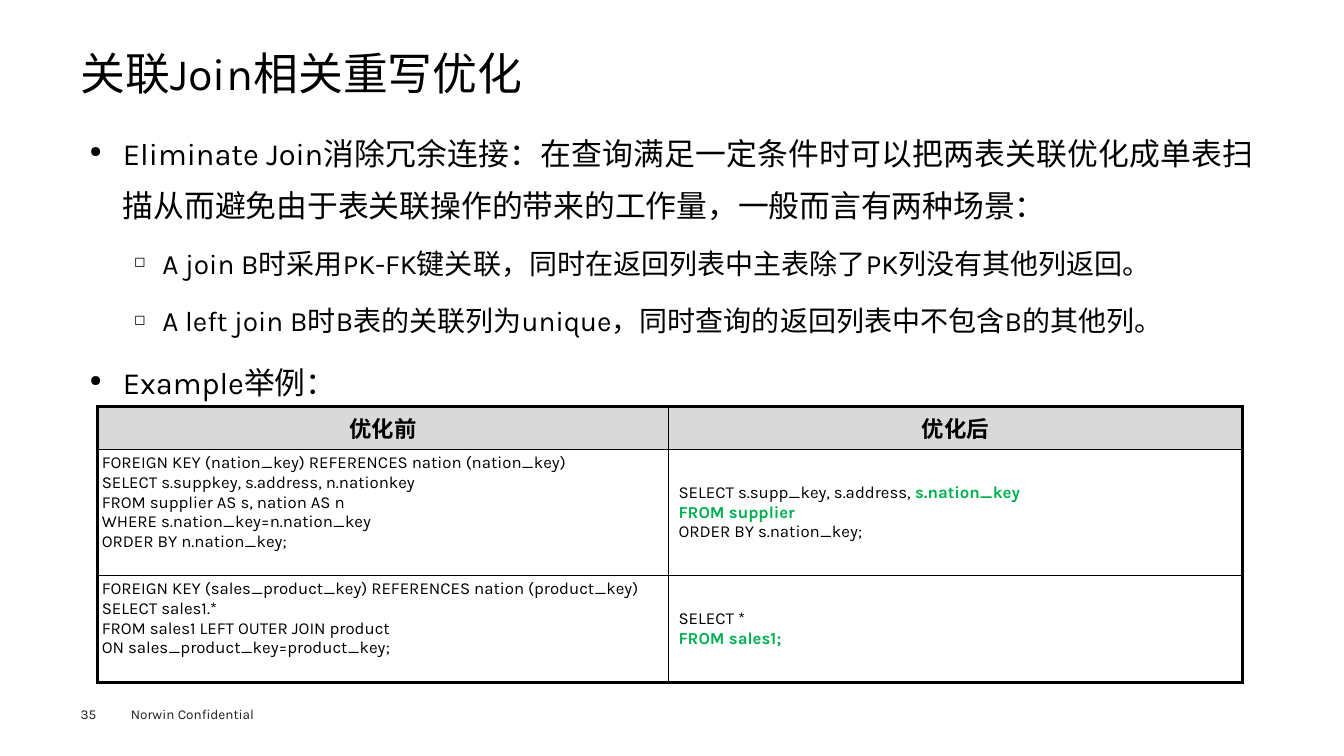
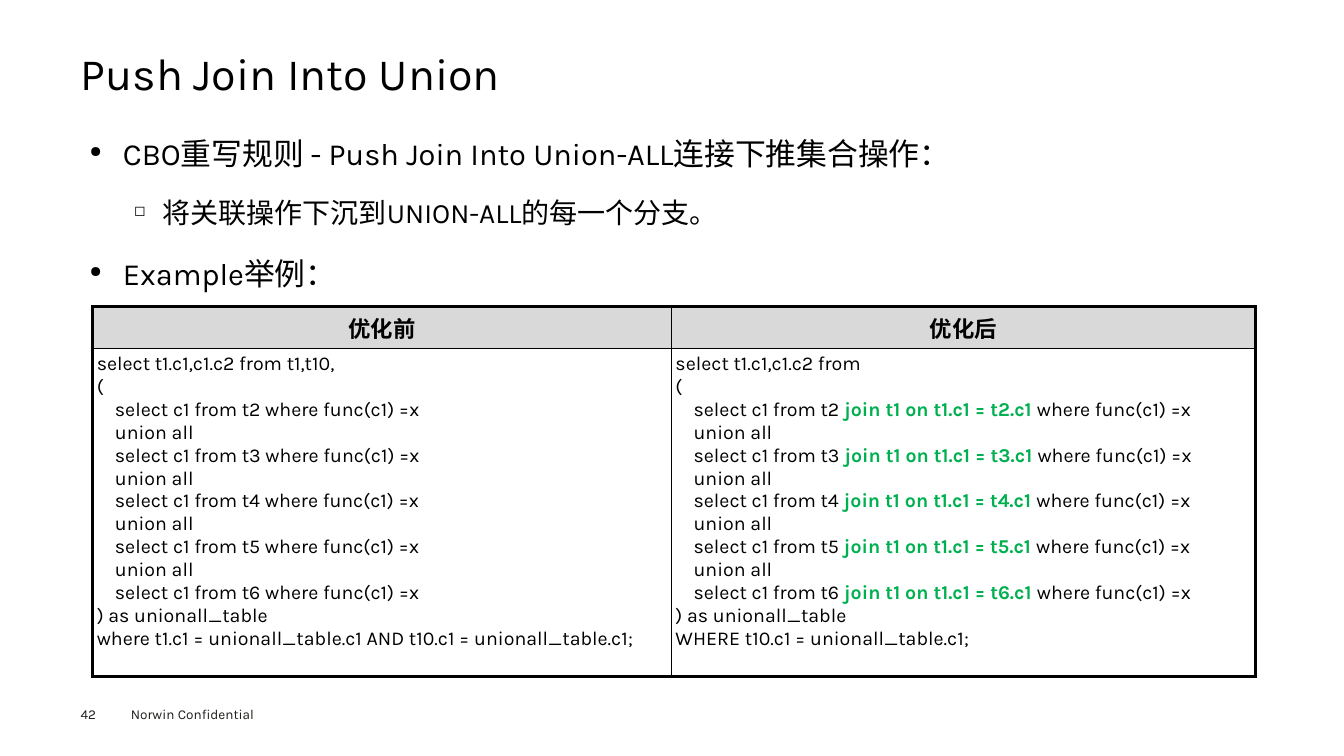
import pptx
import pptx.dml.color
import pptx.enum.text
import pptx.oxml
import pptx.oxml.ns
import pptx.util
from pptx.util import Inches, Pt

PP_ALIGN = pptx.enum.text.PP_ALIGN
ANCHOR = pptx.enum.text.MSO_ANCHOR
FONT = "Karla"
COLORS = {"text": "000000", "footer": "1D1D1B", "header": "D9D9D9",
          "cell": "FFFFFF", "accent": "00B050"}
FOOTER = "Norwin Confidential"
HEADINGS = ("优化前", "优化后")
LEVELS = [
    {"size": 22, "left": 0.33, "hang": 0.33, "before": 7.9, "bullet": "●", "align": PP_ALIGN.JUSTIFY},
    {"size": 20, "left": 0.72, "hang": 0.28, "before": 7.2, "bullet": "◻", "align": PP_ALIGN.LEFT},
]
CODE_INDENT = 0.18
TIGHT = (0.04, 0.04, ANCHOR.TOP)
MIDDLE = (0.1, 0.05, ANCHOR.MIDDLE)


def code(*lines):
    return [(0, [(line, False)]) for line in lines]


def union_branches(joined):
    lines = []
    for n in range(2, 7):
        parts = [(f"select c1 from t{n} ", False)]
        if joined:
            parts.append((f"join t1 on t1.c1 = t{n}.c1 ", True))
        parts.append(("where func(c1) =x", False))
        lines.append((1, parts))
        if n < 6:
            lines.append((1, [("union all", False)]))
    return lines


SLIDES = [
    {
        "number": "35",
        "title": "关联Join相关重写优化",
        "body": [
            (0, "Eliminate Join消除冗余连接：在查询满足一定条件时可以把两表关联优化成单表扫描从而避免由于表关联操作的带来的工作量，一般而言有两种场景："),
            (1, "A join B时采用PK-FK键关联，同时在返回列表中主表除了PK列没有其他列返回。"),
            (1, "A left join B时B表的关联列为unique，同时查询的返回列表中不包含B的其他列。"),
            (0, "Example举例："),
        ],
        "at": (0.97, 4.03), "cols": (5.66, 5.69), "rows": (0.43, 1.25, 1.06),
        "size": 12, "styles": (TIGHT, MIDDLE),
        "code": [
            (
                code("FOREIGN KEY (nation_key) REFERENCES nation (nation_key)",
                     "SELECT s.suppkey, s.address, n.nationkey",
                     "FROM supplier AS s, nation AS n",
                     "WHERE s.nation_key=n.nation_key",
                     "ORDER BY n.nation_key;"),
                [(0, [("SELECT s.supp_key, s.address, ", False), ("s.nation_key", True)]),
                 (0, [("FROM supplier", True)]),
                 (0, [("ORDER BY s.nation_key;", False)])],
            ),
            (
                code("FOREIGN KEY (sales_product_key) REFERENCES nation (product_key)",
                     "SELECT sales1.*",
                     "FROM sales1 LEFT OUTER JOIN product",
                     "ON sales_product_key=product_key;"),
                [(0, [("SELECT *", False)]), (0, [("FROM sales1;", True)])],
            ),
        ],
    },
    {
        "number": "42",
        "title": "Push Join Into Union",
        "body": [
            (0, "CBO重写规则 - Push Join Into Union-ALL连接下推集合操作："),
            (1, "将关联操作下沉到UNION-ALL的每一个分支。"),
            (0, "Example举例："),
        ],
        "at": (0.92, 3.04), "cols": (5.74, 5.79), "rows": (0.42, 3.25),
        "size": 14, "styles": (TIGHT, TIGHT),
        "code": [
            (
                code("select t1.c1,c1.c2 from t1,t10,", "(")
                + union_branches(False)
                + code(") as unionall_table",
                       "where t1.c1 = unionall_table.c1 AND t10.c1 = unionall_table.c1;"),
                code("select t1.c1,c1.c2 from", "(")
                + union_branches(True)
                + code(") as unionall_table", "WHERE t10.c1 = unionall_table.c1;"),
            ),
        ],
    },
]


def rgb(name):
    return pptx.dml.color.RGBColor.from_string(COLORS[name])


def add_xml(parent, xml):
    ns = pptx.oxml.ns.nsdecls("a")
    parent.append(pptx.oxml.parse_xml(xml.replace("/>", f" {ns}/>", 1)
                                      if xml.count("<") == 1
                                      else xml.replace(">", f" {ns}>", 1)))


def add_run(p, text, size, color="text", bold=False):
    r = p.add_run()
    r.text = text
    r.font.name = FONT
    r.font.size = Pt(size)
    r.font.bold = bold
    r.font.color.rgb = rgb(color)


def set_frame(tf, dx, dy, anchor=ANCHOR.TOP):
    tf.word_wrap = True
    tf.auto_size = pptx.enum.text.MSO_AUTO_SIZE.NONE
    tf.margin_left = tf.margin_right = Inches(dx)
    tf.margin_top = tf.margin_bottom = Inches(dy)
    tf.vertical_anchor = anchor


def add_box(s, box, dx, dy):
    tf = s.shapes.add_textbox(*map(Inches, box)).text_frame
    set_frame(tf, dx, dy)
    return tf


def next_paragraph(tf, i):
    return tf.add_paragraph() if i else tf.paragraphs[0]


def add_title(s, text):
    sp = s.shapes.title
    sp.left, sp.top, sp.width, sp.height = map(Inches, (0.8, 0.49, 11.73, 0.53))
    set_frame(sp.text_frame, 0, 0, ANCHOR.MIDDLE)
    p = sp.text_frame.paragraphs[0]
    p.alignment = PP_ALIGN.LEFT
    p.line_spacing = 0.9
    add_run(p, text, 32)


def add_footer(s, number):
    for box, dx, dy, text in (((1.2, 6.95, 1.6, 0.27), 0.1, 0.05, FOOTER),
                              ((0.8, 7, 0.55, 0.16), 0, 0, number)):
        add_run(add_box(s, box, dx, dy).paragraphs[0], text, 9.7, "footer")


def add_body(s, items):
    tf = add_box(s, (0.8, 1.15, 11.73, 5.34), 0.09, 0.04)
    for i, (level, text) in enumerate(items):
        style = LEVELS[level]
        p = next_paragraph(tf, i)
        p.level = level
        p.alignment = style["align"]
        p.line_spacing = 1.4
        p.space_before = Pt(style["before"])
        pPr = p._p.get_or_add_pPr()
        pPr.set("marL", str(Inches(style["left"])))
        pPr.set("indent", str(-Inches(style["hang"])))
        add_xml(pPr, '<a:buSzPct val="50000"/>')
        add_xml(pPr, f'<a:buChar char="{style["bullet"]}"/>')
        add_run(p, text, style["size"])


def set_borders(cell, outer):
    tcPr = cell._tc.get_or_add_tcPr()
    for i, side in enumerate("LRTB"):
        width = Pt(2.25 if side in outer else 1)
        ln = pptx.oxml.parse_xml(
            f'<a:ln{side} {pptx.oxml.ns.nsdecls("a")} w="{width}"><a:solidFill>'
            f'<a:srgbClr val="{COLORS["text"]}"/></a:solidFill></a:ln{side}>')
        tcPr.insert(i, ln)


def fill_cell(cell, lines, size, style, heading):
    dx, dy, anchor = style
    cell.margin_left = cell.margin_right = Inches(dx)
    cell.margin_top = cell.margin_bottom = Inches(dy)
    cell.vertical_anchor = anchor
    cell.fill.solid()
    cell.fill.fore_color.rgb = rgb("header" if heading else "cell")
    for i, (indent, parts) in enumerate(lines):
        p = next_paragraph(cell.text_frame, i)
        p.alignment = PP_ALIGN.CENTER if heading else PP_ALIGN.LEFT
        if indent:
            p._p.get_or_add_pPr().set("marL", str(Inches(CODE_INDENT * indent)))
        for text, marked in parts:
            add_run(p, text, size, "accent" if marked else "text", heading or marked)


def add_code_table(s, data):
    cols, rows = data["cols"], data["rows"]
    box = (*data["at"], sum(cols), sum(rows))
    table = s.shapes.add_table(len(rows), len(cols), *map(Inches, box)).table
    for column, width in zip(table.columns, cols):
        column.width = Inches(width)
    for row, height in zip(table.rows, rows):
        row.height = Inches(height)
    content = [tuple(code(h) for h in HEADINGS)] + data["code"]
    for i, row in enumerate(content):
        for j, lines in enumerate(row):
            cell = table.cell(i, j)
            heading = i == 0
            style = (0.1, 0.05, ANCHOR.TOP) if heading else data["styles"][j]
            fill_cell(cell, lines, 16 if heading else data["size"], style, heading)
            outer = "LR"[j] + ("T" if heading else "") + ("B" if i == len(rows) - 1 else "")
            set_borders(cell, outer)


def main():
    prs = pptx.Presentation()
    prs.slide_width, prs.slide_height = Inches(13.33), Inches(7.5)
    for data in SLIDES:
        s = prs.slides.add_slide(prs.slide_layouts[5])
        add_footer(s, data["number"])
        add_title(s, data["title"])
        add_body(s, data["body"])
        add_code_table(s, data)
    prs.save("out.pptx")


if __name__ == "__main__":
    main()
